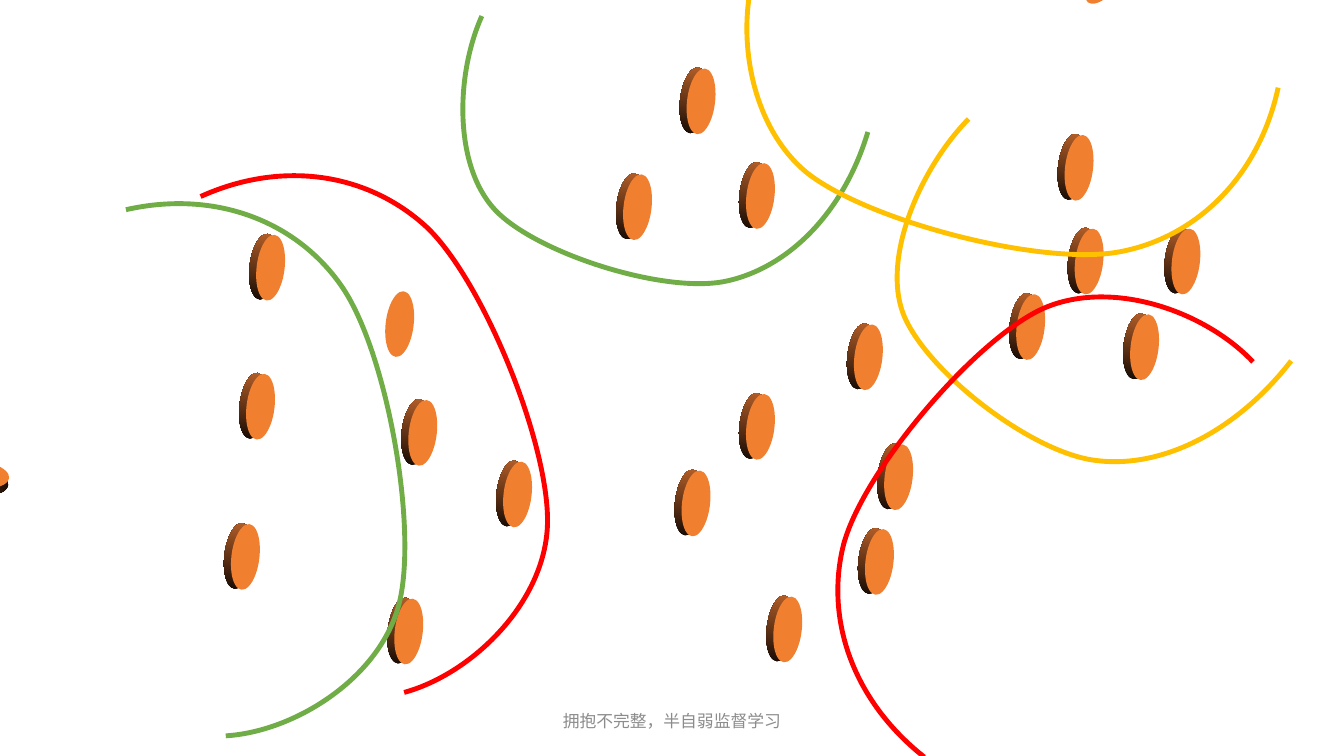
from math import cos, radians, sin

from pptx import Presentation
from pptx.dml.color import RGBColor
from pptx.enum.shapes import MSO_SHAPE
from pptx.enum.text import MSO_ANCHOR, PP_ALIGN
from pptx.oxml import parse_xml
from pptx.oxml.ns import nsdecls, qn
from pptx.util import Pt

GREEN, RED, YELLOW = "70AD47", "FF0000", "FFC000"
COIN_FACE, RIM_TOP, RIM_BOTTOM = "F08030", "B8612A", "140A04"
COIN_WIDTH, COIN_HEIGHT, COIN_TILT = 20, 47.2, 7
RIM_OFFSET = (-5, -0.7)

ARCS_BEHIND = [
    (GREEN, [(344.2, 11.5), (325.4, 53.3), (324, 118.1), (353.5, 149.8), (382.3, 180.7),
             (474.5, 210.2), (518.4, 200.9), (563, 191.5), (602.6, 151.9), (619.9, 94.3)]),
    (RED, [(288.7, 494.6), (336.2, 481.7), (388.1, 432), (391, 376.6), (393.8, 321.1),
           (346.3, 202.3), (305.3, 162.7), (263.5, 123.8), (202.3, 113.8), (143.3, 140.4)]),
    (YELLOW, [(691.9, 85), (657.4, 120.2), (630, 183.6), (645.1, 223.9), (661, 265),
              (737.3, 324), (783.4, 329), (829.4, 334.8), (882.7, 308.9), (922.3, 257.8)]),
]
ARCS_IN_FRONT = [
    (YELLOW, [(542.2, -29.5), (524.2, 16.6), (533.5, 87.8), (576, 123.1), (619.2, 157.7),
              (743, 190.1), (799.2, 180), (854.6, 169.9), (899.3, 126), (913, 62.6)]),
    (GREEN, [(161.3, 525.6), (210.2, 522.7), (271.4, 484.6), (285.1, 431.3), (298.8, 377.3),
             (276.5, 251.3), (244.1, 204.5), (211.7, 157.7), (153.4, 135.4), (90, 149.8)]),
    (RED, [(895, 258.5), (861.1, 222.5), (794.2, 198.7), (745.2, 220.3), (697, 241.9),
           (617, 335.5), (602.6, 388.8), (589, 442.1), (609.1, 500.4), (660.2, 540.7)]),
]
COIN_CENTRES = [
    (500.8, 72.4), (628.2, 401.4), (562.7, 449.6), (778, 186.8), (543.2, 304.9),
    (736.2, 233.6), (302, 309.2), (455.4, 148), (770.8, 119.9), (847.1, 186.8),
    (186.1, 290.5), (817.6, 248), (543.2, 140), (497.2, 359.6), (193.3, 191.2),
    (641.9, 340.9), (620.3, 255.2), (292, 451.1), (175.3, 397.8), (369.7, 353.2),
]
FLAT_COIN = (285.5, 231.5)
TURNED_COINS = [((791.6, -16.9), 30.9), ((-16.9, 338.8), 269.6)]


def color(hex_string):
    """Return the colour for a hex string."""
    return RGBColor.from_string(hex_string)


def apply(target, values):
    """Set each attribute of the target from a dict."""
    for name, value in values.items():
        setattr(target, name, value)


def add_arc(slide, stroke, points):
    """Draw an open Bézier curve through a start point and triples of points."""
    start, *rest = [(Pt(x), Pt(y)) for x, y in points]
    builder = slide.shapes.build_freeform(*start)
    builder.add_line_segments(rest, close=False)
    arc = builder.convert_to_shape()
    arc.shadow.inherit = False
    arc.fill.background()
    arc.line.color.rgb = color(stroke)
    arc.line.width = Pt(3.5)
    outline = next(arc._element.iter(qn("a:path")))
    segments = outline.findall(qn("a:lnTo"))
    for first in range(0, len(segments), 3):
        bezier = parse_xml(f"<a:cubicBezTo {nsdecls('a')}/>")
        outline.append(bezier)
        for segment in segments[first:first + 3]:
            bezier.append(segment[0])
            outline.remove(segment)


def add_oval(slide, centre, turn):
    """Add one tilted, unlined ellipse around a centre."""
    x, y = centre
    oval = slide.shapes.add_shape(
        MSO_SHAPE.OVAL, Pt(x - COIN_WIDTH / 2), Pt(y - COIN_HEIGHT / 2),
        Pt(COIN_WIDTH), Pt(COIN_HEIGHT))
    oval.rotation = (turn + COIN_TILT) % 360
    oval.shadow.inherit = False
    oval.line.fill.background()
    return oval


def add_coin(slide, centre, turn=0, has_rim=True):
    """Add a coin face, with a shaded rim behind it if wanted."""
    if has_rim:
        (x, y), (dx, dy), angle = centre, RIM_OFFSET, radians(turn)
        rim_centre = (x + dx * cos(angle) - dy * sin(angle),
                      y + dx * sin(angle) + dy * cos(angle))
        rim = add_oval(slide, rim_centre, turn).fill
        rim.gradient()
        rim.gradient_angle = 90
        for stop, shade in zip(rim.gradient_stops, (RIM_BOTTOM, RIM_TOP)):
            stop.color.rgb = color(shade)
    face = add_oval(slide, centre, turn).fill
    face.solid()
    face.fore_color.rgb = color(COIN_FACE)


def add_footer(slide, wording):
    """Add the centred grey footer line."""
    frame = slide.shapes.add_textbox(Pt(318), Pt(500.5), Pt(324), Pt(28.8)).text_frame
    apply(frame, {"word_wrap": True, "vertical_anchor": MSO_ANCHOR.MIDDLE})
    paragraph = frame.paragraphs[0]
    paragraph.alignment = PP_ALIGN.CENTER
    run = paragraph.add_run()
    run.text = wording
    apply(run.font, {"size": Pt(12), "name": "Noto Sans CJK SC"})
    run.font.color.rgb = color("8C8C8C")
    east_asian = parse_xml(f'<a:ea {nsdecls("a")} typeface="Noto Sans CJK SC"/>')
    run.font._element.append(east_asian)


def main():
    """Build the slide of coins and separating arcs."""
    deck = Presentation()
    apply(deck, {"slide_width": Pt(960), "slide_height": Pt(540)})
    slide = deck.slides.add_slide(deck.slide_layouts[6])
    for stroke, points in ARCS_BEHIND:
        add_arc(slide, stroke, points)
    for centre in COIN_CENTRES:
        add_coin(slide, centre)
    add_coin(slide, FLAT_COIN, has_rim=False)
    for centre, turn in TURNED_COINS:
        add_coin(slide, centre, turn)
    for stroke, points in ARCS_IN_FRONT:
        add_arc(slide, stroke, points)
    add_footer(slide, "拥抱不完整，半自弱监督学习")
    deck.save("out.pptx")


if __name__ == "__main__":
    main()
